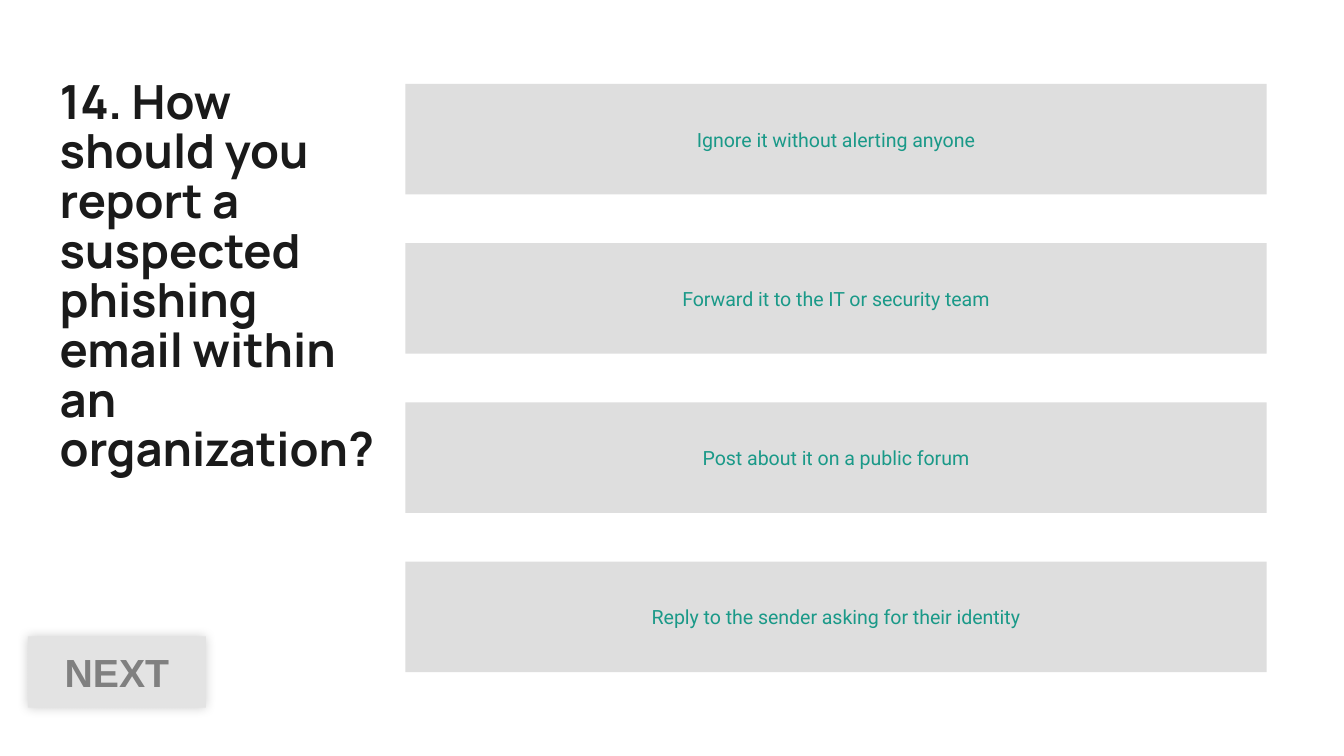
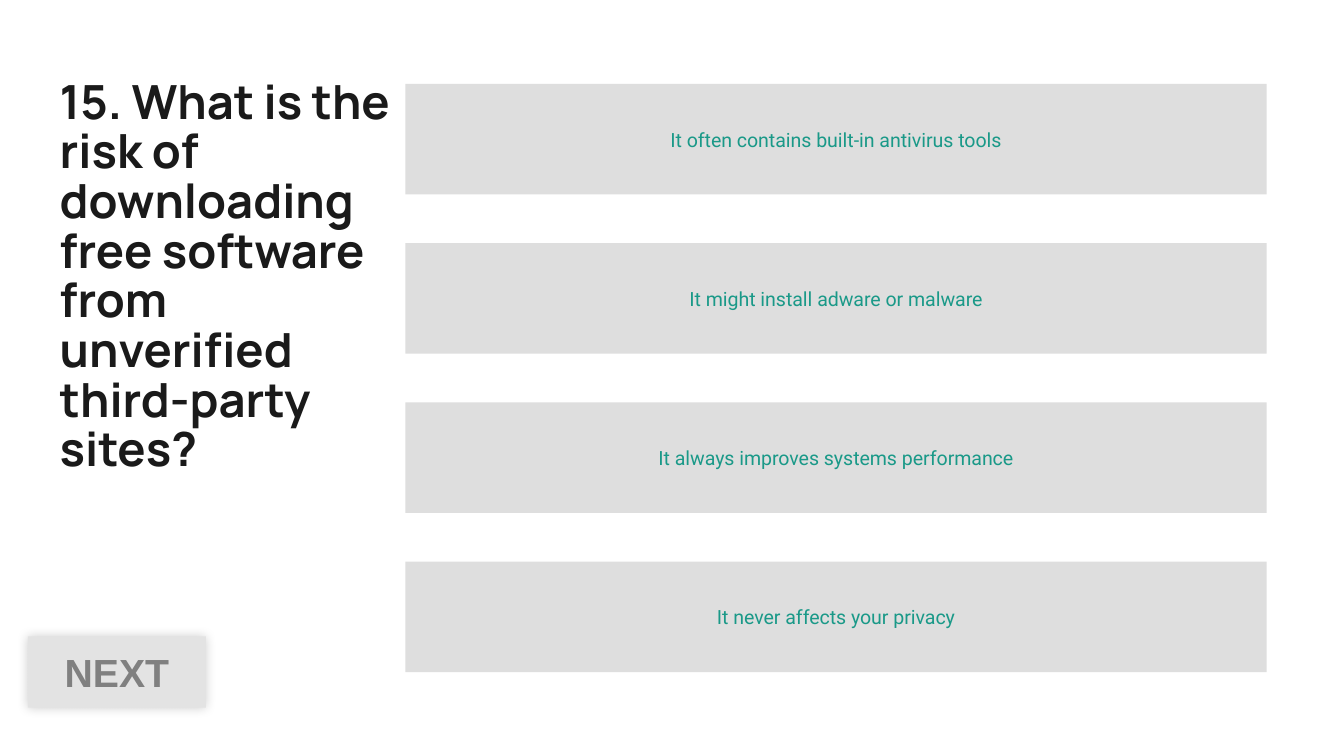
from dataclasses import dataclass

from lxml import etree
from pptx import Presentation
from pptx import util as u
from pptx.dml.color import RGBColor
from pptx.enum import shapes, text
from pptx.oxml import ns


@dataclass(frozen=True)
class TextStyle:
    font: str
    size: float
    color: str
    bold: bool = False


@dataclass(frozen=True)
class Theme:
    background: str = "FFFFFF"
    answer_fill: str = "DEDEDE"
    button_fill: str = "E3E3E3"
    shadow: str = "000000"
    question: TextStyle = TextStyle("Manrope", 25.2, "1A1A1A", True)
    answer: TextStyle = TextStyle("Roboto", 10.5, "1A9988")
    button: TextStyle = TextStyle("Arial", 21, "808080", True)


@dataclass(frozen=True)
class Area:
    """A rectangle measured in points."""
    left: float
    top: float
    width: float
    height: float


@dataclass(frozen=True)
class Question:
    wording: str
    answers: tuple[str, ...]
    title_area: Area


THEME = Theme()
FIRST_ANSWER = Area(217.2, 45, 461.4, 59.2)
ANSWER_PITCH = 85.3
BUTTON = Area(15, 341, 95.3, 38.2)
TITLE_INSET = 7.2
TITLE_LINE_SPACING = 0.88

QUESTIONS = (
    Question(
        "14. How should you report a suspected phishing email within an organization?",
        (
            "Ignore it without alerting anyone",
            "Forward it to the IT or security team",
            "Post about it on a public forum",
            "Reply to the sender asking for their identity",
        ),
        Area(24.8, 35.3, 185.8, 285),
    ),
    Question(
        "15. What is the risk of downloading free software from unverified third-party sites?",
        (
            "It often contains built-in antivirus tools",
            "It might install adware or malware",
            "It always improves systems performance",
            "It never affects your privacy",
        ),
        Area(24.8, 35.3, 192.2, 288),
    ),
)


def write(frame, wording: str, style: TextStyle, align: text.PP_ALIGN):
    frame.word_wrap = True
    para = frame.paragraphs[0]
    para.alignment = align
    span = para.add_run()
    span.text = wording
    span.font.name = style.font
    span.font.size = u.Pt(style.size)
    span.font.bold = style.bold
    span.font.color.rgb = RGBColor.from_string(style.color)
    return para


def place(shape, area: Area) -> None:
    shape.left, shape.top = u.Pt(area.left), u.Pt(area.top)
    shape.width, shape.height = u.Pt(area.width), u.Pt(area.height)


def add_title(page, question: Question) -> None:
    title = page.shapes.title
    place(title, question.title_area)
    frame = title.text_frame
    frame.margin_left = frame.margin_right = u.Pt(TITLE_INSET)
    frame.margin_top = frame.margin_bottom = u.Pt(TITLE_INSET)
    frame.vertical_anchor = text.MSO_ANCHOR.TOP
    frame.auto_size = text.MSO_AUTO_SIZE.NONE
    para = write(frame, question.wording, THEME.question, text.PP_ALIGN.LEFT)
    para.line_spacing = TITLE_LINE_SPACING
    para.space_before = u.Pt(0)


def add_box(page, area: Area, wording: str, fill: str, style: TextStyle):
    box = page.shapes.add_shape(
        shapes.MSO_SHAPE.RECTANGLE,
        u.Pt(area.left), u.Pt(area.top), u.Pt(area.width), u.Pt(area.height),
    )
    box.shadow.inherit = False
    box.fill.solid()
    box.fill.fore_color.rgb = RGBColor.from_string(fill)
    box.line.fill.background()
    box.text_frame.vertical_anchor = text.MSO_ANCHOR.MIDDLE
    write(box.text_frame, wording, style, text.PP_ALIGN.CENTER)
    return box


def add_soft_shadow(box) -> None:
    effects = box.element.spPr.find(ns.qn("a:effectLst"))
    shadow = etree.SubElement(
        effects, ns.qn("a:outerShdw"),
        blurRad=str(u.Pt(6)), dist="0", dir=str(315 * 60000), rotWithShape="0",
    )
    color = etree.SubElement(shadow, ns.qn("a:srgbClr"), val=THEME.shadow)
    etree.SubElement(color, ns.qn("a:alpha"), val="20000")


def add_question_page(deck, question: Question) -> None:
    page = deck.slides.add_slide(deck.slide_layouts.get_by_name("Title Only"))
    page.background.fill.solid()
    page.background.fill.fore_color.rgb = RGBColor.from_string(THEME.background)
    add_title(page, question)
    for row, answer in enumerate(question.answers):
        area = Area(FIRST_ANSWER.left, FIRST_ANSWER.top + row * ANSWER_PITCH,
                    FIRST_ANSWER.width, FIRST_ANSWER.height)
        add_box(page, area, answer, THEME.answer_fill, THEME.answer)
    add_soft_shadow(add_box(page, BUTTON, "NEXT", THEME.button_fill, THEME.button))


def main() -> None:
    deck = Presentation()
    deck.slide_width, deck.slide_height = u.Pt(720), u.Pt(405)
    for question in QUESTIONS:
        add_question_page(deck, question)
    deck.save("out.pptx")


if __name__ == "__main__":
    main()
